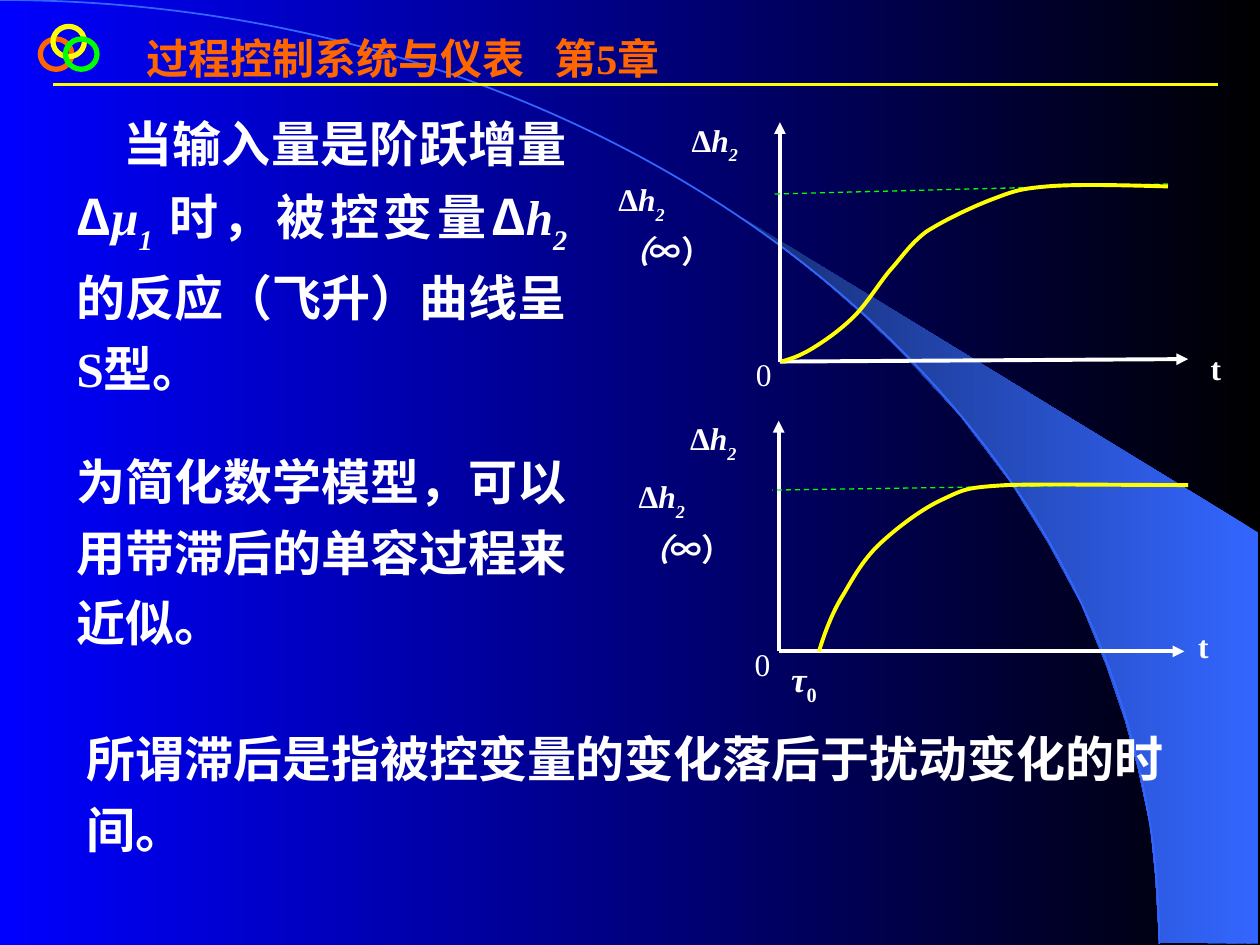
from lxml import etree
from pptx import Presentation, util as u
from pptx.dml.color import RGBColor
from pptx.enum import dml, shapes, text
from pptx.oxml import ns

WHITE = RGBColor(0xFF, 0xFF, 0xFF)
BLACK = RGBColor(0x00, 0x00, 0x00)
BLUE = RGBColor(0x00, 0x00, 0xFF)
SKY = RGBColor(0x33, 0x66, 0xFF)
NAVY = RGBColor(0x17, 0x2F, 0x75)
YELLOW = RGBColor(0xFF, 0xFF, 0x00)
GREEN = RGBColor(0x00, 0xFF, 0x00)
ORANGE = RGBColor(0xFF, 0x66, 0x00)

# Each run is (text, flags): i italic, s subscript, c CJK font for all letters
DELTA_H2 = [("Δ", ""), ("h", "i"), ("2", "is")]


class Deck:
    """Holds the style and the current slide."""
    latin = "Times New Roman"
    cjk = "Noto Sans CJK SC"

    def __init__(self):
        self.prs = Presentation()
        self.prs.slide_width, self.prs.slide_height = u.Inches(10), u.Inches(7.5)
        self.s = self.prs.slides.add_slide(self.prs.slide_layouts[5])

    def gradient(self, fill, first, last):
        fill.gradient()
        fill.gradient_angle = 180
        for stop, color in zip(fill.gradient_stops, (first, last)):
            stop.color.rgb = color

    def add_runs(self, p, runs, size, color, bold):
        for words, flags in runs:
            r = p.add_run()
            r.text = words
            r.font.size, r.font.bold, r.font.italic = u.Pt(size), bold, "i" in flags
            r.font.color.rgb = color
            r.font.name = self.cjk if "c" in flags else self.latin
            rPr = r.font._element
            etree.SubElement(rPr, ns.qn("a:ea")).set("typeface", self.cjk)
            if "s" in flags:
                rPr.set("baseline", "-30000")

    def title(self, x, y, w, h, runs, tab):
        sp = self.s.shapes.title
        tree = sp._element.getparent()
        tree.append(sp._element)  # in front of the backdrop
        sp.left, sp.top, sp.width, sp.height = map(u.Inches, (x, y, w, h))
        tf = sp.text_frame
        tf.word_wrap = True
        tf.auto_size = text.MSO_AUTO_SIZE.NONE
        tf.vertical_anchor = text.MSO_ANCHOR.TOP
        p = tf.paragraphs[0]
        p.alignment = text.PP_ALIGN.LEFT
        tabs = etree.SubElement(p._p.get_or_add_pPr(), ns.qn("a:tabLst"))
        etree.SubElement(tabs, ns.qn("a:tab"), pos=str(u.Inches(tab)), algn="l")
        self.add_runs(p, runs, 24, ORANGE, True)

    def text(self, x, y, w, h, runs, size=18, bold=True, spacing=1.0,
             indent=0, align=text.PP_ALIGN.LEFT):
        sp = self.s.shapes.add_textbox(*map(u.Inches, (x, y, w, h)))
        tf = sp.text_frame
        tf.word_wrap = True
        p = tf.paragraphs[0]
        p.alignment, p.line_spacing = align, spacing
        if indent:
            p._p.get_or_add_pPr().set("indent", str(u.Inches(indent)))
        self.add_runs(p, runs, size, WHITE, bold)

    def line(self, start, end, color, width, arrow=False, dash=None):
        c = self.s.shapes.add_connector(shapes.MSO_CONNECTOR.STRAIGHT,
                                        *map(u.Inches, (*start, *end)))
        c.line.color.rgb, c.line.width = color, u.Pt(width)
        if dash:
            c.line.dash_style = dash
        if arrow:
            etree.SubElement(c.line._get_or_add_ln(), ns.qn("a:tailEnd"), type="triangle")
        etree.SubElement(c._element.spPr, ns.qn("a:effectLst"))

    def ring(self, x, y, color):
        sp = self.s.shapes.add_shape(shapes.MSO_SHAPE.OVAL,
                                     *map(u.Inches, (x, y, 0.25, 0.24)))
        sp.shadow.inherit = False
        sp.fill.background()
        sp.line.color.rgb, sp.line.width = color, u.Pt(3)

    def outline(self, points, close=False):
        emu = [(u.Inches(x), u.Inches(y)) for x, y in points]
        builder = self.s.shapes.build_freeform(*emu[0])
        builder.add_line_segments(emu[1:], close=close)
        sp = builder.convert_to_shape()
        sp.shadow.inherit = False
        return sp

    def wedge(self, points):
        sp = self.outline(points, close=True)
        self.gradient(sp.fill, SKY, NAVY)
        sp.line.fill.background()

    def curve(self, points, color, width):
        """Start point, then three Bezier points for each segment."""
        sp = self.outline(points)
        sp.fill.background()
        sp.line.color.rgb, sp.line.width = color, u.Pt(width)
        steps = sp._element.findall(".//" + ns.qn("a:lnTo"))
        track = steps[0].getparent()
        for i in range(0, len(steps), 3):
            bezier = etree.SubElement(track, ns.qn("a:cubicBezTo"))
            for step in steps[i:i + 3]:
                bezier.append(step[0])
                track.remove(step)

    def plot(self, origin, top, x_end, limit, t_at, limit_at, points):
        """Step response: axes, dashed final value, curve and labels."""
        x, y = origin
        self.text(x - 0.29, y - 0.1, 0.32, 0.4, [("0", "")], bold=False)
        self.line(origin, (x, top), WHITE, 2.25, arrow=True)
        self.line(origin, x_end, WHITE, 2.25, arrow=True)
        self.line(*limit, GREEN, 0.75, dash=dml.MSO_LINE.DASH)
        self.text(*t_at, 0.45, 0.4, [("t", "")])
        self.curve(points, YELLOW, 2.25)
        self.text(*limit_at, 1.2, 0.53, DELTA_H2 + [("（", "i"), ("∞）", "")], spacing=1.2)
        self.text(x - 0.8, top - 0.13, 1.06, 0.53, DELTA_H2, spacing=1.2)


def main():
    deck = Deck()

    # Backdrop
    deck.gradient(deck.s.background.fill, BLACK, BLUE)
    deck.wedge([(9.2, 7.48), (9.99, 7.49), (9.99, 4.23), (5.89, 1.73), (6.24, 1.99),
                (6.53, 2.22), (6.85, 2.5), (7.16, 2.8), (7.62, 3.3), (8.03, 3.84),
                (8.32, 4.31), (8.58, 4.79), (8.78, 5.28), (8.93, 5.72), (9.03, 6.09),
                (9.13, 6.56), (9.17, 6.96)])
    deck.curve([(0, 0), (5.08, 0), (9.2, 3.35), (9.2, 7.49)], SKY, 1)

    # Header
    deck.line((0.42, 0.67), (9.67, 0.67), YELLOW, 1.5)
    deck.title(1.06, 0.21, 4.49, 0.9, [("过程控制系统与仪表\t第5章", "")], tab=3.24)
    for x, y, color in ((0.32, 0.31, ORANGE), (0.42, 0.21, YELLOW), (0.52, 0.31, GREEN)):
        deck.ring(x, y, color)

    # Explanations
    deck.text(0.51, 0.76, 4.09, 2.44,
              [("当输入量是阶跃增量Δ", "c"), ("μ", "i"), ("1 ", "is"),
               ("时，被控变量Δ", "c"), ("h", "i"), ("2", "is"),
               ("的反应（飞升）曲线呈", "c"), ("S", ""), ("型。", "c")],
              size=28, spacing=1.2, indent=0.37, align=text.PP_ALIGN.JUSTIFY)
    deck.text(0.51, 3.44, 4.25, 1.78,
              [("为简化数学模型，可以用带滞后的单容过程来近似。", "")], size=28, spacing=1.2)
    deck.text(0.59, 5.64, 8.9, 1.22,
              [("所谓滞后是指被控变量的变化落后于扰动变化的时间。", "")], size=28, spacing=1.2)

    # S-shaped response
    deck.plot(origin=(6.19, 2.87), top=0.97, x_end=(9.43, 2.85),
              limit=((9.27, 1.46), (6.14, 1.54)), t_at=(9.51, 2.72), limit_at=(4.81, 1.31),
              points=[(6.2, 2.87), (6.27, 2.85), (6.34, 2.83), (6.44, 2.77),
                      (6.54, 2.71), (6.67, 2.62), (6.78, 2.51),
                      (6.88, 2.41), (6.97, 2.26), (7.06, 2.15),
                      (7.16, 2.04), (7.22, 1.94), (7.35, 1.84),
                      (7.49, 1.75), (7.72, 1.64), (7.88, 1.58),
                      (8.04, 1.52), (8.08, 1.5), (8.31, 1.48),
                      (8.54, 1.46), (8.91, 1.47), (9.27, 1.48)])

    # First-order response with delay
    deck.plot(origin=(6.18, 5.17), top=3.34, x_end=(9.4, 5.17),
              limit=((9.43, 3.84), (6.13, 3.89)), t_at=(9.41, 4.93), limit_at=(4.97, 3.67),
              points=[(6.5, 5.17), (6.55, 5.01), (6.61, 4.85), (6.7, 4.71),
                      (6.78, 4.57), (6.86, 4.43), (6.99, 4.31),
                      (7.13, 4.18), (7.33, 4.03), (7.49, 3.96),
                      (7.66, 3.88), (7.67, 3.87), (7.99, 3.85),
                      (8.31, 3.84), (8.87, 3.85), (9.43, 3.85)])
    deck.text(6.18, 5.09, 0.63, 0.56, [("τ", "i"), ("0", "s")], size=20, spacing=1.2)

    deck.prs.save("out.pptx")


if __name__ == "__main__":
    main()
